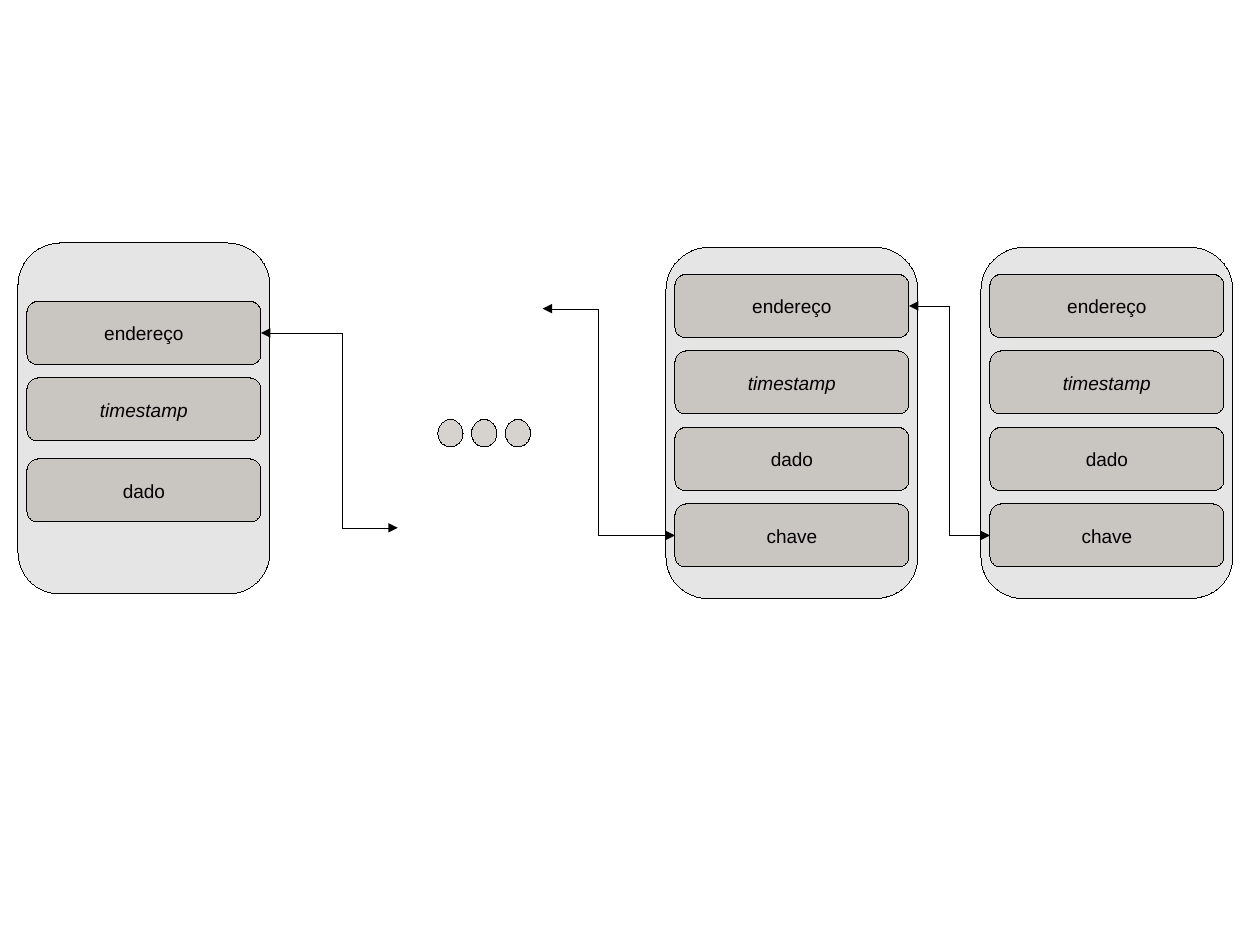
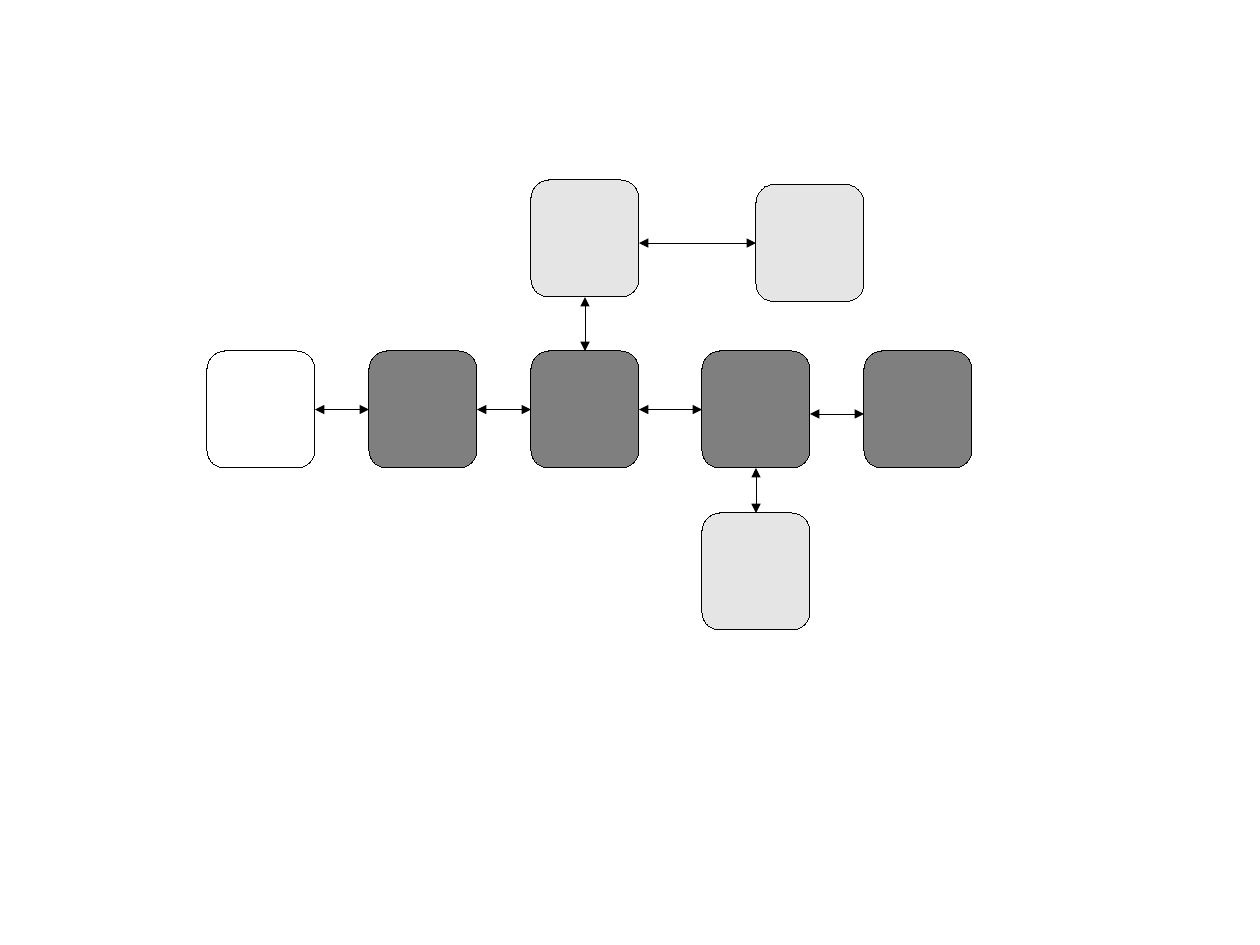
from collections import namedtuple
from dataclasses import dataclass
from pptx import Presentation, util as u
from pptx.dml.color import RGBColor
from pptx.enum import shapes as es, text as et
from pptx.oxml import ns, xmlchemy as xc


@dataclass(frozen=True)
class Theme:
    wide: float = 28
    high: float = 21
    cols: int = 140
    rows: int = 105
    ink: str = "000000"
    pale: str = "CCCCCC"
    warm: str = "AEA79F"
    white: str = "FFFFFF"
    alpha: int = 50
    font: str = "Arial"
    size: int = 12
    edge: int = 0


T = Theme()
Box = namedtuple("Box", "x y w h")
ROUND = es.MSO_SHAPE.FLOWCHART_ALTERNATE_PROCESS
DOT = es.MSO_SHAPE.OVAL


def col(n):
    return u.Cm(T.wide * n / T.cols)


def row(n):
    return u.Cm(T.high * n / T.rows)


def child(parent, tag, **attrs):
    node = xc.OxmlElement(tag)
    for key, value in attrs.items():
        node.set(key, str(value))
    parent.append(node)
    return node


def stroke(line):
    line.color.rgb = RGBColor.from_string(T.ink)
    line._ln.set("w", str(u.Pt(T.edge)))


def form(slide, kind, box, fill):
    shape = slide.shapes.add_shape(
        kind, col(box.x), row(box.y), col(box.w), row(box.h))
    shape.shadow.inherit = False
    shape.fill.solid()
    shape.fill.fore_color.rgb = RGBColor.from_string(fill)
    tint = shape.fill._xPr.find(ns.qn("a:solidFill"))[0]
    child(tint, "a:alpha", val=T.alpha * 1000)
    stroke(shape.line)
    return shape


def write(shape, text, size=T.size, color=T.ink, italic=False):
    frame = shape.text_frame
    frame.word_wrap = False
    frame.vertical_anchor = et.MSO_ANCHOR.MIDDLE
    para = frame.paragraphs[0]
    para.alignment = et.PP_ALIGN.CENTER
    run = para.add_run()
    run.text = text
    run.font.name = T.font
    run.font.size = u.Pt(size)
    run.font.italic = italic
    run.font.color.rgb = RGBColor.from_string(color)


def link(slide, start, end, bend=None):
    kind = es.MSO_CONNECTOR.STRAIGHT if bend is None else es.MSO_CONNECTOR.ELBOW
    wire = slide.shapes.add_connector(
        kind, col(start[0]), row(start[1]), col(end[0]), row(end[1]))
    stroke(wire.line)
    props = wire._element.spPr
    for tag in ("a:headEnd", "a:tailEnd"):
        child(wire.line._ln, tag, type="triangle")
    child(props, "a:effectLst")
    if bend is not None:
        guides = props.find(ns.qn("a:prstGeom")).get_or_add_avLst()
        child(guides, "a:gd", name="adj1", fmla=f"val {round(bend * 100000)}")


def record(slide, box, fields):
    form(slide, ROUND, box, T.pale)
    for name, drop in fields:
        field = form(slide, ROUND, Box(box.x + 1, box.y + drop, box.w - 2, 7), T.warm)
        write(field, name, italic=name == "timestamp")


def dots(slide, box, count=3):
    wide = 2.8
    step = (box.w - wide) / (count - 1)
    for i in range(count):
        form(slide, DOT, Box(box.x + i * step, box.y, wide, box.h), T.warm)


def chain(slide, box):
    x, y = box.x, box.y
    names = ("endereço", "timestamp", "dado", "chave")
    full = [(name, 3 + 8.5 * i) for i, name in enumerate(names)]
    first = list(zip(names, (6.5, 15, 24)))
    for left, top, fields in ((107, 0.5, full), (72, 0.5, full), (0, 0, first)):
        record(slide, Box(x + left, y + top, 28, 39), fields)
    for start, end, bend in (
            ((99, 7), (108, 32.5), 0.5),
            ((58.3, 7.3), (73, 32.5), 0.42),
            ((27, 10), (42.2, 31.65), 0.59)):
        link(slide, (x + start[0], y + start[1]), (x + end[0], y + end[1]), bend)
    dots(slide, Box(x + 46.65, y + 19.6, 10.3, 3.05))


def tree(slide, box):
    x, y, wide, high = box.x, box.y, 12, 13
    main = (0, 18, 36, 55, 73)
    mid = 19 + high / 2
    spots = [(left, 19, T.ink if left else T.white) for left in main]
    spots += [(36, 0, T.pale), (61, 0.5, T.pale), (55, 37, T.pale)]
    for left, top, fill in spots:
        form(slide, ROUND, Box(x + left, y + top, wide, high), fill)
    wires = [((a + wide, mid), (b, mid)) for a, b in zip(main[:-2], main[1:])]
    wires += [((67, mid + 0.5), (73, mid + 0.5)), ((48, 7), (61, 7)),
              ((42, high), (42, 19)), ((61, 32), (61, 37))]
    for start, end in wires:
        link(slide, (x + start[0], y + start[1]), (x + end[0], y + end[1]))


deck = Presentation()
deck.slide_width = u.Cm(T.wide)
deck.slide_height = u.Cm(T.high)
for draw, area in ((chain, Box(2, 27, 135, 39.5)), (tree, Box(23, 20, 85, 50))):
    draw(deck.slides.add_slide(deck.slide_layouts[6]), area)
deck.save("out.pptx")
